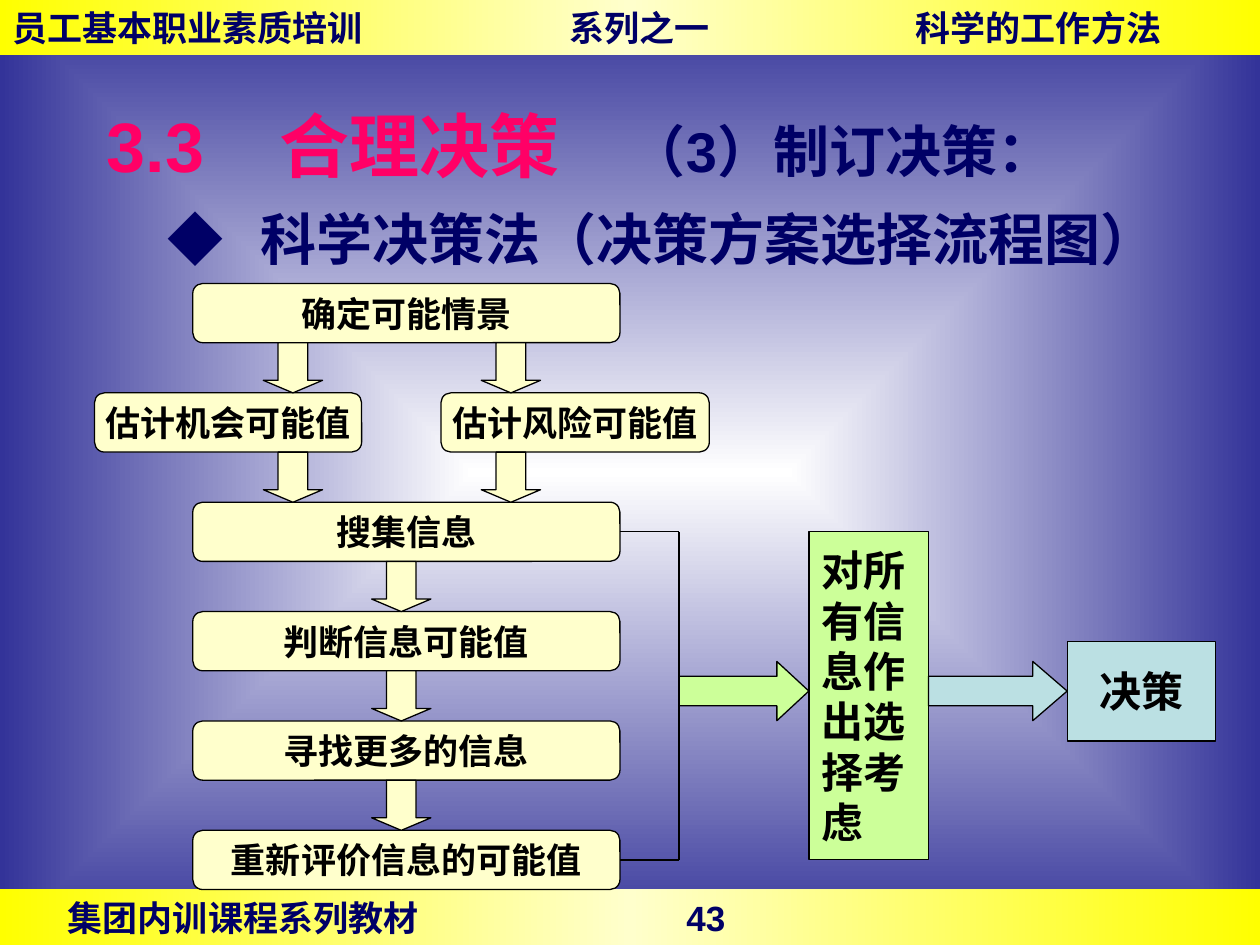
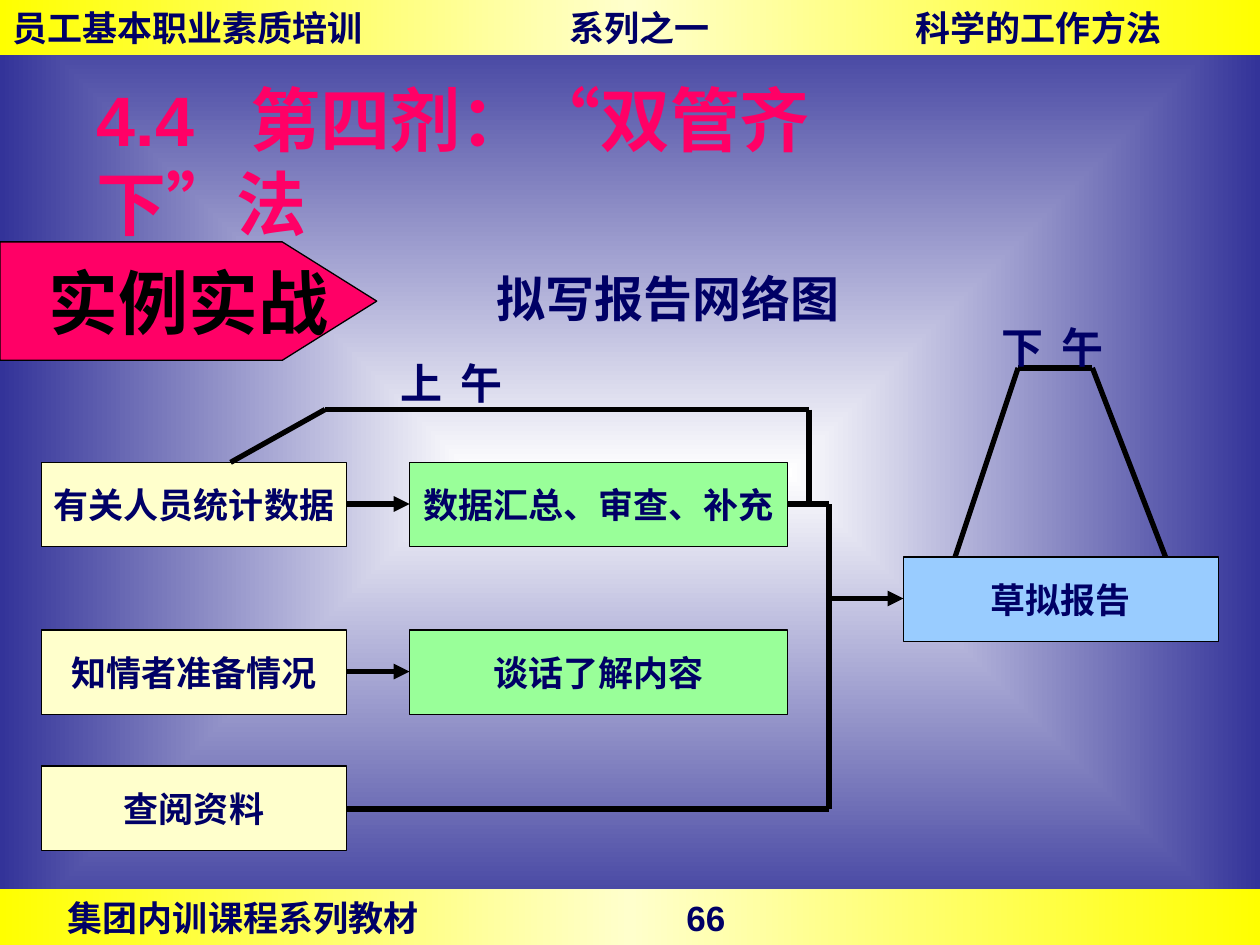
from typing import NamedTuple

from lxml import etree
from pptx import Presentation
from pptx.dml.color import RGBColor
from pptx.enum.shapes import MSO_CONNECTOR as Link, MSO_SHAPE as Kind
from pptx.enum.text import MSO_ANCHOR as Anchor, PP_ALIGN as Align
from pptx.oxml.ns import qn
from pptx.util import Inches, Pt

# Shared look
FONT = "Arial"
NAVY, PINK, BLACK = "000066", "FF0066", "000000"
CREAM, LIME, AQUA = "FFFFCC", "CCFF99", "BBE0E3"
GREEN, SKY = "99FF99", "99CCFF"
BAND = [(0, "FFFF00"), (50, CREAM), (100, "FFFF00")]
BACK = [(0, "FFFFFF"), (100, "333399")]
BAND_H = 0.44


class Area(NamedTuple):
    x: float
    y: float
    w: float
    h: float


class Style(NamedTuple):
    size: int = 20
    color: str = NAVY
    align: Align = Align.CENTER
    wrap: bool = False
    anchor: Anchor = Anchor.MIDDLE
    tabs: tuple = ()
    space: float = 1.0


class Box(NamedTuple):
    text: str
    area: Area
    fill: str


class Line(NamedTuple):
    x1: float
    y1: float
    x2: float
    y2: float
    arrow: bool = False


BODY = Style(color=BLACK)
BIG = Style(24, BLACK)


def rgb(code: str) -> RGBColor:
    return RGBColor.from_string(code)


def place(area: Area) -> list:
    return [Inches(side) for side in area]


# Text
def dress(run, size: int, color: str) -> None:
    font = run.font
    font.name, font.size, font.bold = FONT, Pt(size), True
    font.color.rgb = rgb(color)


def write(shape, text: str, style: Style):
    frame = shape.text_frame
    frame.text = text
    frame.word_wrap = style.wrap
    frame.vertical_anchor = style.anchor
    for para in frame.paragraphs:
        para.alignment = style.align
        if style.space != 1:
            para.line_spacing = style.space
        if style.tabs:
            stops = etree.SubElement(para._p.get_or_add_pPr(), qn("a:tabLst"))
            for stop in style.tabs:
                etree.SubElement(stops, qn("a:tab"), pos=str(Inches(stop)), algn="l")
        for run in para.runs:
            dress(run, style.size, style.color)
    return frame.paragraphs[0]


def label(slide, text: str, area: Area, style: Style):
    return write(slide.shapes.add_textbox(*place(area)), text, style)


def title(slide, text: str, area: Area, tabs: tuple):
    return label(slide, text, area, Style(40, PINK, Align.LEFT, True, tabs=tabs))


# Shapes
def shade(fill, root, stops: list, rect: bool = False) -> None:
    fill.gradient()
    grad = next(root.iter(qn("a:gradFill")))
    for child in list(grad):
        grad.remove(child)
    group = etree.SubElement(grad, qn("a:gsLst"))
    for pos, color in stops:
        stop = etree.SubElement(group, qn("a:gs"), pos=str(pos * 1000))
        etree.SubElement(stop, qn("a:srgbClr"), val=color)
    if rect:
        way = etree.SubElement(grad, qn("a:path"), path="rect")
        etree.SubElement(way, qn("a:fillToRect"), dict.fromkeys("ltrb", "50000"))
    else:
        etree.SubElement(grad, qn("a:lin"), ang="10800000", scaled="1")


def paint(shape, fill: str) -> None:
    shape.shadow.inherit = False
    shape.fill.solid()
    shape.fill.fore_color.rgb = rgb(fill)
    shape.line.color.rgb = rgb(BLACK)
    shape.line.width = Pt(0.75)


def draw(slide, kind: Kind, area: Area, fill: str):
    shape = slide.shapes.add_shape(kind, *place(area))
    paint(shape, fill)
    return shape


def arrow(slide, kind: Kind, area: Area, fill: str, head: float) -> None:
    shape = draw(slide, kind, area, fill)
    shape.adjustments[0], shape.adjustments[1] = 0.5, head


def join(slide, line: Line, width: float) -> None:
    ends = [Inches(end) for end in line[:4]]
    link = slide.shapes.add_connector(Link.STRAIGHT, *ends)
    link.line.color.rgb = rgb(BLACK)
    link.line.width = Pt(width)
    if line.arrow:
        etree.SubElement(link.line._get_or_add_ln(), qn("a:tailEnd"), type="triangle")
    etree.SubElement(link._element.spPr, qn("a:effectLst"))


# Background, header and footer of every slide
def band(slide, top: float, text: str, tabs: tuple) -> None:
    area = Area(0, top, 10, BAND_H)
    shape = slide.shapes.add_shape(Kind.RECTANGLE, *place(area))
    shape.shadow.inherit = False
    shape.line.fill.background()
    shade(shape.fill, shape._element, BAND)
    write(shape, text, Style(align=Align.LEFT, wrap=True, tabs=tabs))


def start(deck, page: int):
    slide = deck.slides.add_slide(deck.slide_layouts[6])
    shade(slide.background.fill, slide.element, BACK, True)
    band(slide, 7.5 - BAND_H, f"\t集团内训课程系列教材\t{page}", (0.44, 5.35))
    band(slide, 0, "员工基本职业素质培训\t系列之一\t科学的工作方法", (4.42, 7.17))
    return slide


# Slide 43: flow chart for choosing a plan
def choice(deck) -> None:
    slide = start(deck, 43)
    head = title(slide, "3.3\t合理决策\t", Area(0.75, 0.99, 8.27, 0.32), (1.37, 4.15))
    part = head.add_run()
    part.text = "（3）制订决策："
    dress(part, 32, NAVY)
    label(slide, "\t◆\t科学决策法（决策方案选择流程图）", Area(0.83, 1.31, 8.82, 0.9),
          Style(32, NAVY, Align.LEFT, True, Anchor.TOP, (0.4, 1.14), 1.5))

    # Rows of steps, evenly spaced
    high, left, wide = 0.47, 1.53, 3.39
    rows = [2.25 + num * (6.59 - 2.25) / 5 for num in range(6)]
    names = ["确定可能情景", None, "搜集信息", "判断信息可能值", "寻找更多的信息", "重新评价信息的可能值"]
    steps = [(name, left, y, wide) for name, y in zip(names, rows) if name]
    steps += [("估计机会可能值", 0.75, rows[1], 2.12), ("估计风险可能值", 3.5, rows[1], 2.13)]
    for name, x, y, w in steps:
        write(draw(slide, Kind.ROUNDED_RECTANGLE, Area(x, y, w, high), CREAM), name, BODY)

    # Arrows down: two between the upper rows, one between the lower
    gap = rows[1] - rows[0] - high
    for num, y in enumerate(rows[:-1]):
        for x in (2.09, 3.82) if num < 2 else (2.95,):
            arrow(slide, Kind.DOWN_ARROW, Area(x, y + high, high, gap), CREAM, 0.25)

    # Bracket from the third row to the last
    right, turn = left + wide, 5.39
    top, base = rows[2] + high / 2, rows[5] + high / 2
    for line in (Line(right, top, turn, top), Line(turn, top, turn, base),
                 Line(right, base, turn, base)):
        join(slide, line, 0.75)

    # Review and result
    review = draw(slide, Kind.RECTANGLE, Area(6.42, top, 0.95, base - top), LIME)
    write(review, "对所\n有信\n息作\n出选\n择考\n虑", BIG._replace(align=Align.LEFT))
    write(draw(slide, Kind.RECTANGLE, Area(8.47, 5.09, 1.18, 0.79), AQUA), "决策", BIG)
    for x, w, fill, tip in ((turn, 1.03, LIME, 0.54), (7.37, 1.1, AQUA, 0.58)):
        arrow(slide, Kind.RIGHT_ARROW, Area(x, 5.25, w, high), fill, tip)


# Slide 66: network of writing a report
def report(deck) -> None:
    slide = start(deck, 66)
    title(slide, "4.4\t第四剂：“双管齐下”法", Area(0.67, 1.17, 7.17, 0.21), (1.22,))

    # Pointed tag
    edge = [(2.24, 1.92), (2.99, 2.39), (2.24, 2.86), (0, 2.86)]
    build = slide.shapes.build_freeform(0, Inches(1.92))
    build.add_line_segments([(Inches(x), Inches(y)) for x, y in edge])
    tag = build.convert_to_shape()
    paint(tag, PINK)
    write(tag, "实例实战", Style(40, BLACK))
    label(slide, "拟写报告网络图", Area(3.84, 2.08, 2.92, 0.57),
          Style(28, anchor=Anchor.TOP))

    # Tasks
    high = 0.67
    tasks = [
        Box("有关人员统计数据", Area(0.33, 3.67, 2.42, high), CREAM),
        Box("知情者准备情况", Area(0.33, 5, 2.42, high), CREAM),
        Box("查阅资料", Area(0.33, 6.08, 2.42, high), CREAM),
        Box("数据汇总、审查、补充", Area(3.25, 3.67, 3, high), GREEN),
        Box("谈话了解内容", Area(3.25, 5, 3, high), GREEN),
        Box("草拟报告", Area(7.17, 4.42, 2.5, high), SKY),
    ]
    for task in tasks:
        write(draw(slide, Kind.RECTANGLE, task.area, task.fill), task.text, Style())

    # Links between tasks, then the two time brackets
    lines = [
        Line(2.75, 4, 3.25, 4, True),
        Line(2.75, 5.33, 3.25, 5.33, True),
        Line(6.58, 4.75, 7.17, 4.75, True),
        Line(2.75, 6.42, 6.58, 6.42),
        Line(6.25, 4, 6.58, 4),
        Line(6.58, 4, 6.58, 6.42),
        Line(1.83, 3.67, 2.58, 3.25),
        Line(2.58, 3.25, 6.42, 3.25),
        Line(6.42, 3.25, 6.42, 4),
        Line(8.08, 2.92, 7.58, 4.42),
        Line(8.08, 2.92, 8.67, 2.92),
        Line(8.67, 2.92, 9.25, 4.42),
    ]
    for line in lines:
        join(slide, line, 3)
    time = Style(24, align=Align.LEFT, wrap=True, anchor=Anchor.TOP, tabs=(0.48,))
    for text, x, y in (("上\t午", 3.08, 2.79), ("下\t午", 7.85, 2.5)):
        label(slide, text, Area(x, y, 1.05, 0.5), time)


def main() -> None:
    deck = Presentation()
    deck.slide_width, deck.slide_height = Inches(10), Inches(7.5)
    choice(deck)
    report(deck)
    deck.save("out.pptx")


if __name__ == "__main__":
    main()
